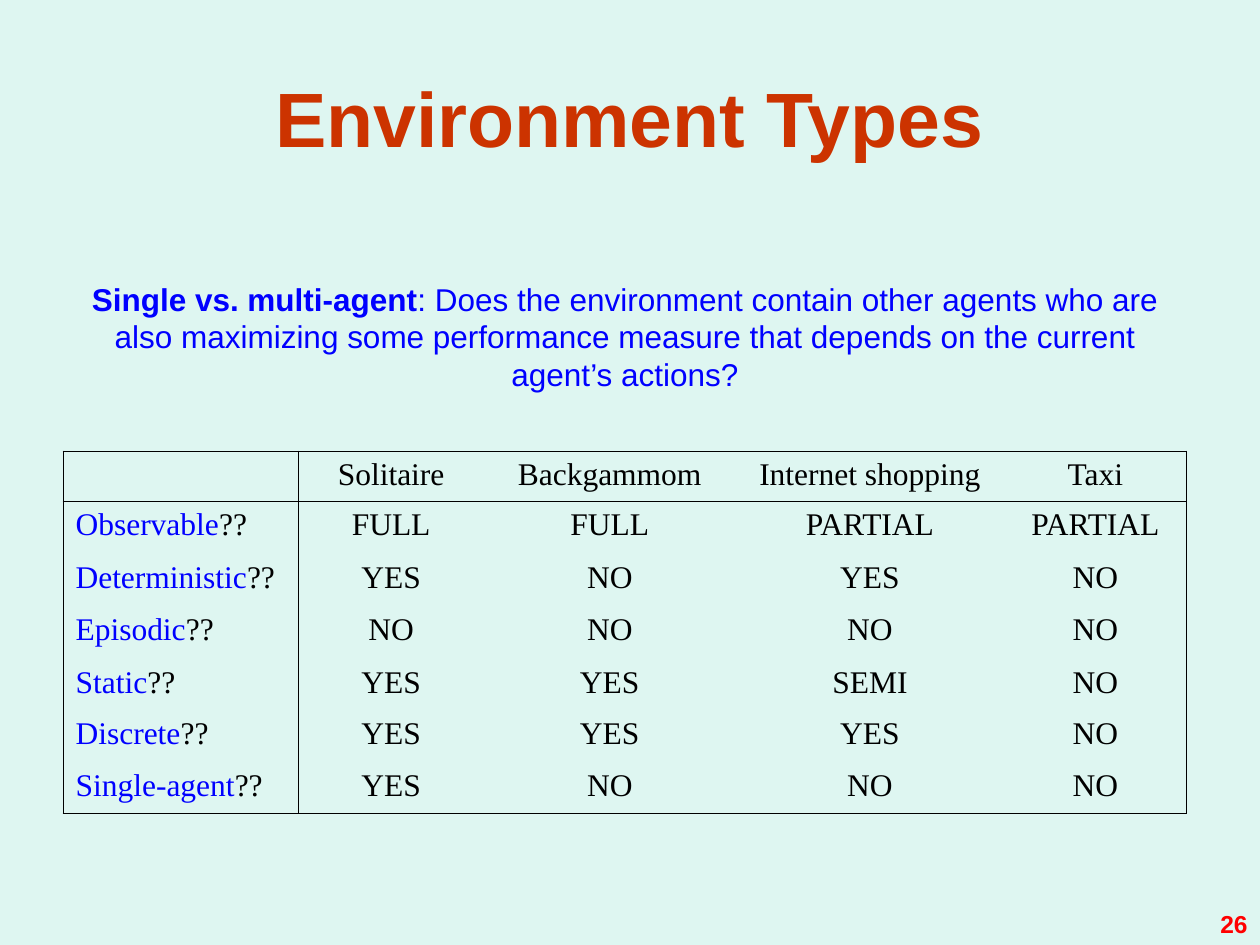
from typing import NamedTuple

from lxml.etree import Element, SubElement
from pptx import Presentation
from pptx.dml.color import RGBColor
from pptx.enum.text import MSO_ANCHOR as Anchor, PP_ALIGN as Align
from pptx.oxml.ns import qn
from pptx.util import Inches, Pt

BACKGROUND = RGBColor(0xDE, 0xF6, 0xF1)
RUST = RGBColor(0xCC, 0x33, 0x00)
BLUE = RGBColor(0x00, 0x00, 0xFF)
RED = RGBColor(0xFF, 0x00, 0x00)
BLACK = RGBColor(0x00, 0x00, 0x00)
SANS, SERIF = "Arial", "Times New Roman"
BORDER = Pt(0.45)


class Span(NamedTuple):
    text: str
    color: RGBColor
    bold: bool = False


class Label(NamedTuple):
    left: float
    top: float
    width: float
    height: float
    spans: list[Span]
    size: int
    align: Align
    anchor: Anchor
    side_inset: float = 0.1


class Property(NamedTuple):
    name: str
    values: list[str]


LABELS = [
    Label(0.5, 0.3, 9, 1.25, [Span("Environment Types", RUST, True)],
          44, Align.CENTER, Anchor.MIDDLE),
    Label(0.5, 2.17, 8.92, 1,
          [Span("Single vs. multi-agent", BLUE, True),
           Span(": Does the environment contain other agents who are also "
                "maximizing some performance measure that depends on the "
                "current agent’s actions?", BLUE)],
          18, Align.CENTER, Anchor.TOP, 0),
    Label(7.67, 6.98, 2.33, 0.52, [Span("26", RED, True)],
          14, Align.RIGHT, Anchor.BOTTOM),
]

ENVIRONMENTS = ["Solitaire", "Backgammom", "Internet shopping", "Taxi"]
PROPERTIES = [
    Property("Observable", ["FULL", "FULL", "PARTIAL", "PARTIAL"]),
    Property("Deterministic", ["YES", "NO", "YES", "NO"]),
    Property("Episodic", ["NO", "NO", "NO", "NO"]),
    Property("Static", ["YES", "YES", "SEMI", "NO"]),
    Property("Discrete", ["YES", "YES", "YES", "NO"]),
    Property("Single-agent", ["YES", "NO", "NO", "NO"]),
]
COLUMN_WIDTHS = [1.87, 1.47, 2, 2.13, 1.45]
ROW_HEIGHTS = [0.4, 0.42, 0.41, 0.42, 0.41, 0.41, 0.41]


def write(p, spans: list[Span], font: str, size: int, align: Align) -> None:
    p.alignment = align
    p.font.name, p.font.size = font, Pt(size)
    for span in spans:
        r = p.add_run()
        r.text = span.text
        r.font.color.rgb, r.font.bold = span.color, span.bold


def add_label(s, label: Label) -> None:
    box = s.shapes.add_textbox(Inches(label.left), Inches(label.top),
                               Inches(label.width), Inches(label.height))
    tf = box.text_frame
    tf.word_wrap = True
    tf.vertical_anchor = label.anchor
    tf.margin_left = tf.margin_right = Inches(label.side_inset)
    write(tf.paragraphs[0], label.spans, SANS, label.size, label.align)


def set_borders(cell, edges: dict[str, bool]) -> None:
    """Draw the edges marked True and hide the rest; keys run L, R, T, B."""
    tc_pr = cell._tc.get_or_add_tcPr()
    for i, (edge, visible) in enumerate(edges.items()):
        ln = Element(qn(f"a:ln{edge}"), w=str(int(BORDER)))
        if visible:
            fill = SubElement(ln, qn("a:solidFill"))
            SubElement(fill, qn("a:srgbClr"), val=str(BLACK))
        else:
            SubElement(ln, qn("a:noFill"))
        tc_pr.insert(i, ln)


def add_environment_table(s) -> None:
    header = [[]] + [[Span(name, BLACK)] for name in ENVIRONMENTS]
    rows = [header] + [
        [[Span(prop.name, BLUE), Span("??", BLACK)]]
        + [[Span(value, BLACK)] for value in prop.values]
        for prop in PROPERTIES
    ]
    last_row, last_col = len(rows) - 1, len(header) - 1
    table = s.shapes.add_table(
        len(rows), len(header), Inches(0.5), Inches(3.58),
        Inches(sum(COLUMN_WIDTHS)), Inches(sum(ROW_HEIGHTS))).table
    table.first_row = table.horz_banding = False
    for column, width in zip(table.columns, COLUMN_WIDTHS):
        column.width = Inches(width)
    for row, height in zip(table.rows, ROW_HEIGHTS):
        row.height = Inches(height)
    for i, row in enumerate(rows):
        for j, spans in enumerate(row):
            cell = table.cell(i, j)
            cell.fill.background()
            set_borders(cell, {"L": j <= 1, "R": j in (0, last_col),
                               "T": i <= 1, "B": i in (0, last_row)})
            write(cell.text_frame.paragraphs[0], spans, SERIF, 18,
                  Align.CENTER if j else Align.LEFT)


def main() -> None:
    prs = Presentation()
    prs.slide_width, prs.slide_height = Inches(10), Inches(7.5)
    s = prs.slides.add_slide(prs.slide_layouts[6])
    s.background.fill.solid()
    s.background.fill.fore_color.rgb = BACKGROUND
    add_environment_table(s)
    for label in LABELS:
        add_label(s, label)
    prs.save("out.pptx")


if __name__ == "__main__":
    main()
